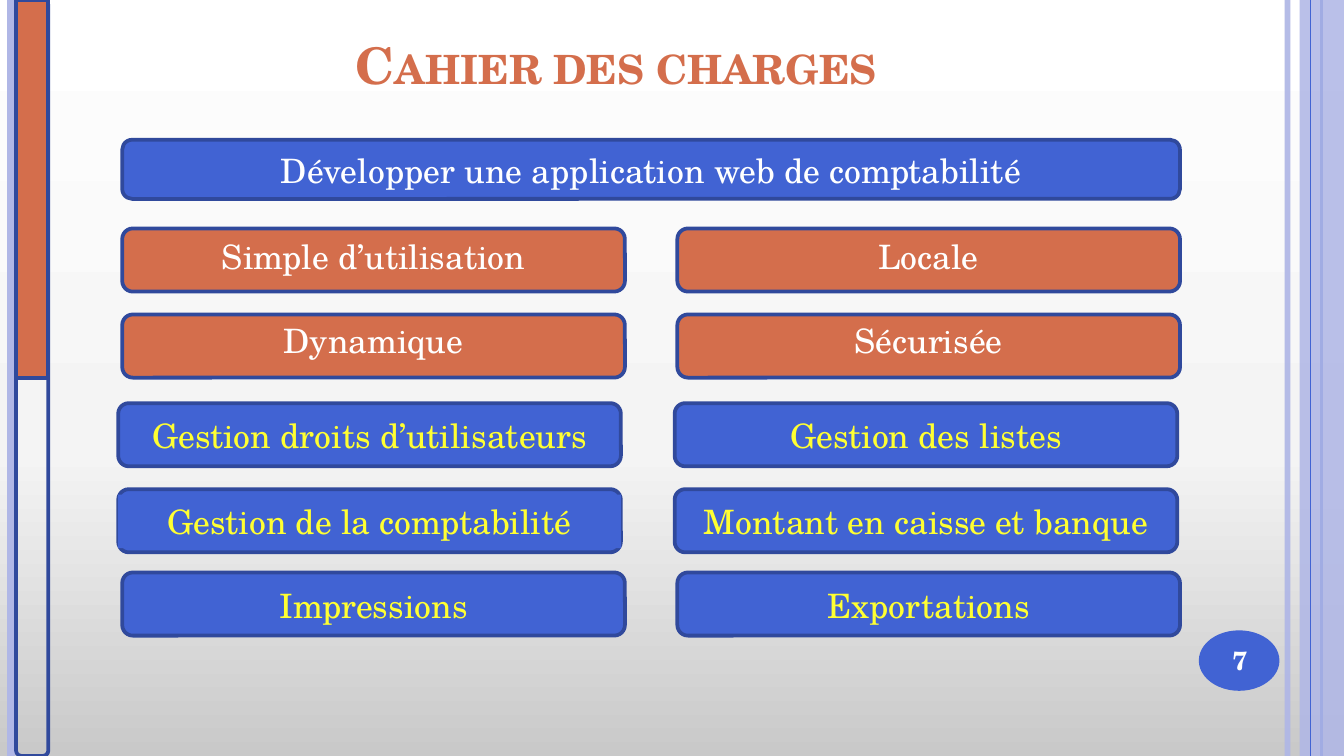
from dataclasses import dataclass
from typing import Optional

from lxml.etree import SubElement
from pptx import Presentation
from pptx.dml.color import RGBColor
from pptx.enum.shapes import MSO_CONNECTOR, MSO_SHAPE
from pptx.enum.text import MSO_ANCHOR, PP_ALIGN
from pptx.oxml import parse_xml
from pptx.oxml.ns import nsdecls, qn
from pptx.util import Inches, Pt


@dataclass(frozen=True)
class Theme:
    font: str = "TeX Gyre Schola"
    blue: str = "4163D3"
    navy: str = "30499C"
    lavender: str = "B0B7E6"
    orange: str = "D46E4C"
    white: str = "FFFFFF"
    yellow: str = "FFFF32"
    background: tuple = ((0, "C9C9C9"), (40, "F4F4F4"), (100, "FFFFFF"))
    title_size: int = 27
    card_size: int = 18
    number_size: int = 14
    outline: float = 2


@dataclass(frozen=True)
class Box:
    left: float
    top: float
    width: float
    height: float

    def lengths(self) -> list:
        return [Inches(value) for value in (self.left, self.top, self.width, self.height)]


@dataclass(frozen=True)
class Rule:
    x: float
    color: str
    weight: float
    opacity: int = 100


@dataclass(frozen=True)
class CardRow:
    top: float
    label_offset: float
    lefts: tuple
    labels: tuple
    fill: str
    text_color: str
    filled_labels: tuple = ()


THEME = Theme()
SLIDE_WIDTH = 10
SLIDE_HEIGHT = SLIDE_WIDTH * 9 / 16
CARD_WIDTH, CARD_HEIGHT, LABEL_HEIGHT = 3.74, 0.47, 0.4
OUTER, INNER = (0.91, 5.04), (0.88, 5.02)

RULES = (
    Rule(9.58, THEME.lavender, 3, 93),
    Rule(0.08, THEME.lavender, 4.5),
    Rule(9.83, THEME.blue, 1.5),
)
FRONT_RULE = Rule(9.75, THEME.blue, 0.75)

QUALITIES = (THEME.orange, THEME.white)
FEATURES = (THEME.blue, THEME.yellow)
ROWS = (
    CardRow(1.7, 0.01, OUTER, ("Simple d’utilisation", "Locale"), *QUALITIES),
    CardRow(2.34, -0.01, OUTER, ("Dynamique", "Sécurisée"), *QUALITIES),
    CardRow(3, 0.04, INNER, ("Gestion droits d’utilisateurs", "Gestion des listes"), *FEATURES),
    CardRow(3.64, 0.04, INNER, ("Gestion de la comptabilité", "Montant en caisse et banque"),
            *FEATURES, filled_labels=("Gestion de la comptabilité",)),
    CardRow(4.26, 0.04, OUTER, ("Impressions", "Exportations"), *FEATURES),
)


def set_opacity(color_parent, percent: int) -> None:
    color = next(color_parent.iter(qn("a:srgbClr")))
    SubElement(color, qn("a:alpha")).set("val", str(percent * 1000))


def add_background(slide) -> None:
    stops = "".join(
        f'<a:gs pos="{position * 1000}"><a:srgbClr val="{color}"/></a:gs>'
        for position, color in THEME.background
    )
    background = parse_xml(
        f'<p:bg {nsdecls("p", "a")}><p:bgPr><a:gradFill rotWithShape="1">'
        f'<a:gsLst>{stops}</a:gsLst><a:lin ang="16200000" scaled="0"/>'
        "</a:gradFill><a:effectLst/></p:bgPr></p:bg>"
    )
    slide.element.cSld.insert(0, background)


def add_rule(shapes, rule: Rule) -> None:
    x = Inches(rule.x)
    line = shapes.add_connector(MSO_CONNECTOR.STRAIGHT, x, Inches(0), x, Inches(SLIDE_HEIGHT))
    line.line.color.rgb = RGBColor.from_string(rule.color)
    line.line.width = Pt(rule.weight)
    properties = line.element.spPr
    if rule.opacity < 100:
        set_opacity(properties, rule.opacity)
    SubElement(properties, qn("a:effectLst"))


def add_panel(shapes, kind: MSO_SHAPE, box: Box, fill: Optional[str] = None,
              line: Optional[str] = None):
    shape = shapes.add_shape(kind, *box.lengths())
    shape.shadow.inherit = False
    if fill:
        shape.fill.solid()
        shape.fill.fore_color.rgb = RGBColor.from_string(fill)
    else:
        shape.fill.background()
    if line:
        shape.line.color.rgb = RGBColor.from_string(line)
        shape.line.width = Pt(THEME.outline)
    else:
        shape.line.fill.background()
    return shape


def add_text(shapes, text: str, box: Box, *, size: float, color: str, bold: bool = False,
             small_caps: bool = False, anchor: MSO_ANCHOR = MSO_ANCHOR.TOP,
             fill: Optional[str] = None) -> None:
    if fill:
        shape = add_panel(shapes, MSO_SHAPE.RECTANGLE, box, fill)
    else:
        shape = shapes.add_textbox(*box.lengths())
    frame = shape.text_frame
    frame.word_wrap = True
    frame.vertical_anchor = anchor
    paragraph = frame.paragraphs[0]
    paragraph.alignment = PP_ALIGN.CENTER
    run = paragraph.add_run()
    run.text = text
    run.font.name = THEME.font
    run.font.size = Pt(size)
    run.font.bold = bold
    run.font.color.rgb = RGBColor.from_string(color)
    if small_caps:
        run.font._element.set("cap", "small")


def add_card(slide, text: str, box: Box, label_offset: float, fill: str, text_color: str,
             label_fill: Optional[str] = None) -> None:
    shapes = slide.shapes.add_group_shape().shapes
    add_panel(shapes, MSO_SHAPE.ROUNDED_RECTANGLE, box, fill, THEME.navy)
    label = Box(box.left, box.top + label_offset, box.width, LABEL_HEIGHT)
    add_text(shapes, text, label, size=THEME.card_size, color=text_color, fill=label_fill)


def add_frame(slide) -> None:
    """Draw the vertical rules, the right band and the page number disc."""
    for rule in RULES:
        add_rule(slide.shapes, rule)
    band = add_panel(slide.shapes, MSO_SHAPE.RECTANGLE, Box(9.67, 0, 0.33, SLIDE_HEIGHT),
                     THEME.lavender)
    set_opacity(band.element.spPr, 87)
    add_rule(slide.shapes, FRONT_RULE)
    add_panel(slide.shapes, MSO_SHAPE.OVAL, Box(8.92, 4.69, 0.6, 0.45), THEME.blue)


def add_progress_bar(slide) -> None:
    shapes = slide.shapes.add_group_shape().shapes
    add_panel(shapes, MSO_SHAPE.ROUNDED_RECTANGLE, Box(0.12, 0, 0.24, SLIDE_HEIGHT),
              line=THEME.navy)
    add_panel(shapes, MSO_SHAPE.RECTANGLE, Box(0.12, 0, 0.24, SLIDE_HEIGHT / 2),
              THEME.orange, THEME.navy)


def main() -> None:
    presentation = Presentation()
    presentation.slide_width = Inches(SLIDE_WIDTH)
    presentation.slide_height = Inches(SLIDE_HEIGHT)
    slide = presentation.slides.add_slide(presentation.slide_layouts[6])
    add_background(slide)
    add_frame(slide)
    add_text(slide.shapes, "Cahier des charges", Box(0.5, 0.23, 8.17, 0.52),
             size=THEME.title_size, color=THEME.orange, bold=True, small_caps=True,
             anchor=MSO_ANCHOR.BOTTOM)
    add_text(slide.shapes, "7", Box(8.89, 4.7, 0.67, 0.43), size=THEME.number_size,
             color=THEME.white, bold=True, anchor=MSO_ANCHOR.MIDDLE)
    add_card(slide, "Développer une application web de comptabilité",
             Box(0.91, 1.04, 7.87, 0.44), 0.03, THEME.blue, THEME.white)
    for row in ROWS:
        for left, label in zip(row.lefts, row.labels):
            add_card(slide, label, Box(left, row.top, CARD_WIDTH, CARD_HEIGHT),
                     row.label_offset, row.fill, row.text_color,
                     row.fill if label in row.filled_labels else None)
    add_progress_bar(slide)
    presentation.save("out.pptx")


if __name__ == "__main__":
    main()
